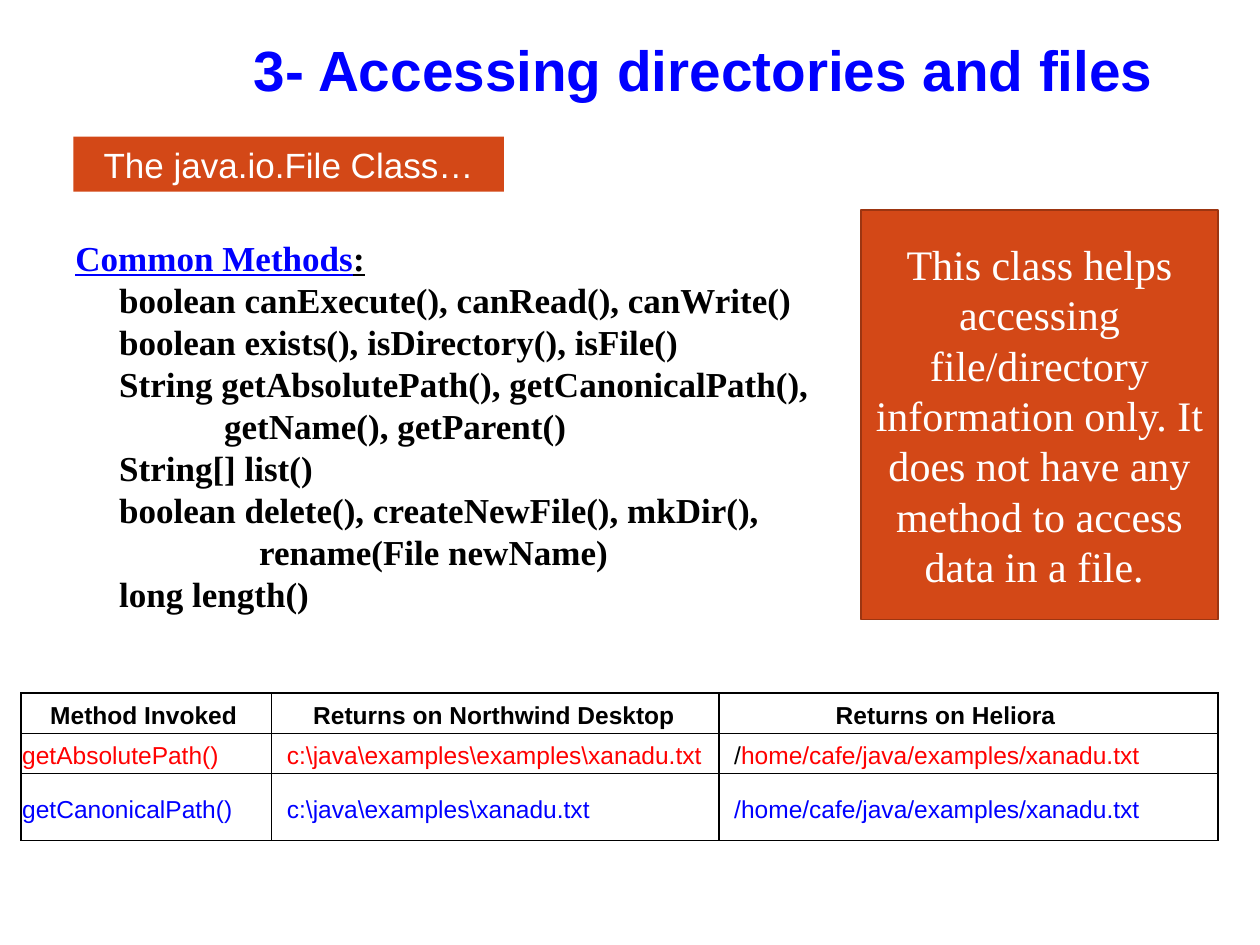
from lxml.etree import SubElement
from pptx import Presentation
from pptx.dml.color import RGBColor
from pptx.enum.shapes import MSO_SHAPE
from pptx.enum.text import MSO_ANCHOR, PP_ALIGN
from pptx.oxml.ns import qn
from pptx.util import Inches, Pt

GRID = Inches(1) / 12  # the page is 120 columns by 90 rows
BLUE, RED, BLACK, WHITE = "0000FF", "FF0000", "000000", "FFFFFF"
ORANGE, RUST = "D34817", "9C3511"
SERIF, SANS = "Times New Roman", "Arial"


def grid(*steps):
    return [round(step * GRID) for step in steps]


def write(para, spans, **formats):
    """Add (text, colour, extra formats) spans that share the given formats."""
    for text, colour, extra in spans:
        span = para.add_run()
        span.text = text
        span.font.color.rgb = RGBColor.from_string(colour)
        for name, value in {**formats, **extra}.items():
            setattr(span.font, name, value)


deck = Presentation()
deck.slide_width, deck.slide_height = grid(120, 90)
page = deck.slides.add_slide(deck.slide_layouts[6])

# Common methods, each line with its indent in points
methods = [
    (25, "boolean canExecute(), canRead(), canWrite()"),
    (25, "boolean exists(), isDirectory(), isFile()"),
    (25, "String getAbsolutePath(), getCanonicalPath(),"),
    (85, "getName(), getParent()"),
    (25, "String[] list()"),
    (25, "boolean delete(), createNewFile(), mkDir(),"),
    (105, "rename(File newName)"),
    (25, "long length()"),
]
frame = page.shapes.add_textbox(*grid(6, 22, 74, 37)).text_frame
frame.word_wrap = True
frame.vertical_anchor = MSO_ANCHOR.MIDDLE
method_font = {"name": SERIF, "size": Pt(20), "bold": True}
write(frame.paragraphs[0],
      [("Common Methods", BLUE, {}), (":", BLACK, {})],
      underline=True, **method_font)
for indent, text in methods:
    para = frame.add_paragraph()
    para._p.get_or_add_pPr().set("marL", str(Pt(indent)))
    write(para, [(text, BLACK, {})], **method_font)

# Results table: each cell is its indent in points and its spans
bold = {"bold": True}
rows = [
    [(16, [("Method Invoked", BLACK, bold)]),
     (23, [("Returns on Northwind Desktop", BLACK, bold)]),
     (66, [("Returns on Heliora", BLACK, bold)])],
    [(0, [("getAbsolutePath()", RED, {})]),
     (8, [(r"c:\java\examples\examples\xanadu.txt", RED, {})]),
     (8, [("/", BLACK, {}), ("home/cafe/java/examples/xanadu.txt", RED, {})])],
    [(0, [("getCanonicalPath()", BLUE, {})]),
     (8, [(r"c:\java\examples\xanadu.txt", BLUE, {})]),
     (8, [("/home/cafe/java/examples/xanadu.txt", BLUE, {})])],
]
table = page.shapes.add_table(3, 3, *grid(2, 66, 114, 14)).table
table.first_row = table.horz_banding = False
for column, width in zip(table.columns, (1.99, 3.55, 3.96)):
    column.width = Inches(width)
for row, height in zip(table.rows, (0.32, 0.32, 0.53)):
    row.height = Inches(height)
for row, contents in zip(table.rows, rows):
    for cell, (indent, spans) in zip(row.cells, contents):
        cell.margin_left = Inches(0.01) + Pt(indent)
        cell.margin_right = cell.margin_top = Inches(0.01)
        cell.margin_bottom = 0
        cell.vertical_anchor = MSO_ANCHOR.MIDDLE
        for side in ("a:lnL", "a:lnR", "a:lnT", "a:lnB"):
            border = SubElement(cell._tc.tcPr, qn(side), w=str(Pt(1)))
            paint = SubElement(border, qn("a:solidFill"))
            SubElement(paint, qn("a:srgbClr"), val=BLACK)
        cell.fill.background()
        para = cell.text_frame.paragraphs[0]
        para.line_spacing = 1.15
        write(para, spans, name=SANS, size=Pt(14))

# Orange note and class label
panels = [
    ((82, 20, 34, 39), RUST, SERIF, 24,
     "This class helps accessing file/directory information only. "
     "It does not have any method to access data in a file. "),
    ((7, 13, 41, 5.25), None, SANS, 20, "The java.io.File Class…"),
]
for place, outline, font, size, text in panels:
    box = page.shapes.add_shape(MSO_SHAPE.RECTANGLE, *grid(*place))
    box.shadow.inherit = False
    box.fill.solid()
    box.fill.fore_color.rgb = RGBColor.from_string(ORANGE)
    if outline:
        box.line.color.rgb = RGBColor.from_string(outline)
        box.line.width = Pt(1)
    else:
        box.line.fill.background()
    box.text_frame.word_wrap = True
    box.text_frame.vertical_anchor = MSO_ANCHOR.MIDDLE
    para = box.text_frame.paragraphs[0]
    para.alignment = PP_ALIGN.CENTER
    write(para, [(text, WHITE, {})], name=font, size=Pt(size))

# Title
frame = page.shapes.add_textbox(*grid(19, 2, 92, 9)).text_frame
frame.word_wrap = True
frame.vertical_anchor = MSO_ANCHOR.BOTTOM
frame.margin_bottom = Inches(0.1)
para = frame.paragraphs[0]
para.alignment = PP_ALIGN.RIGHT
write(para, [("3- Accessing directories and files", BLUE, {})],
      name=SANS, size=Pt(32.4), bold=True)

deck.save("out.pptx")
